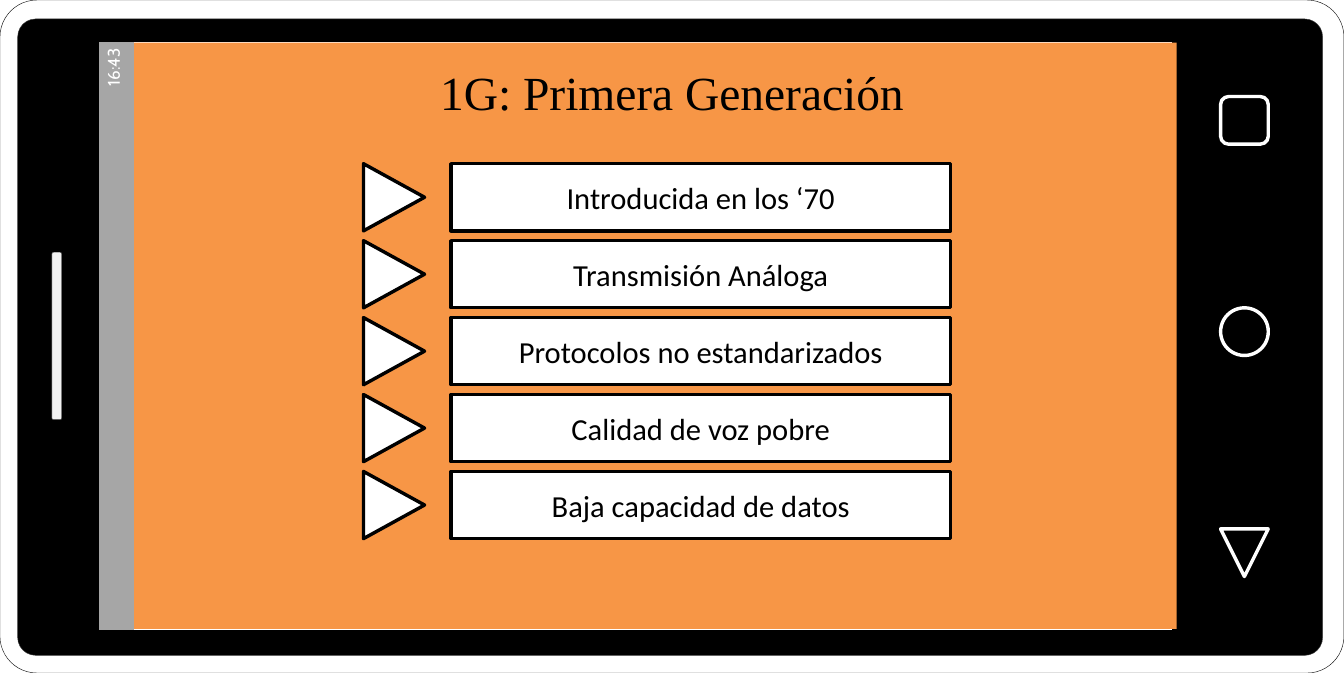
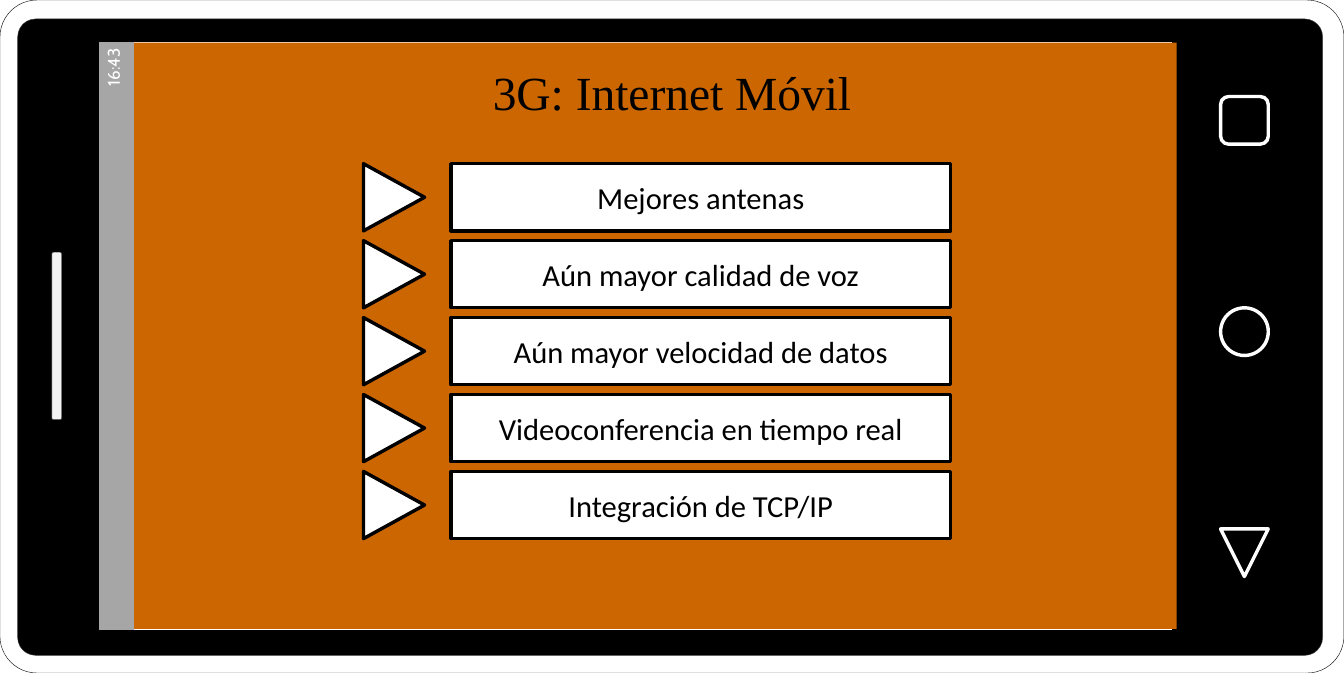
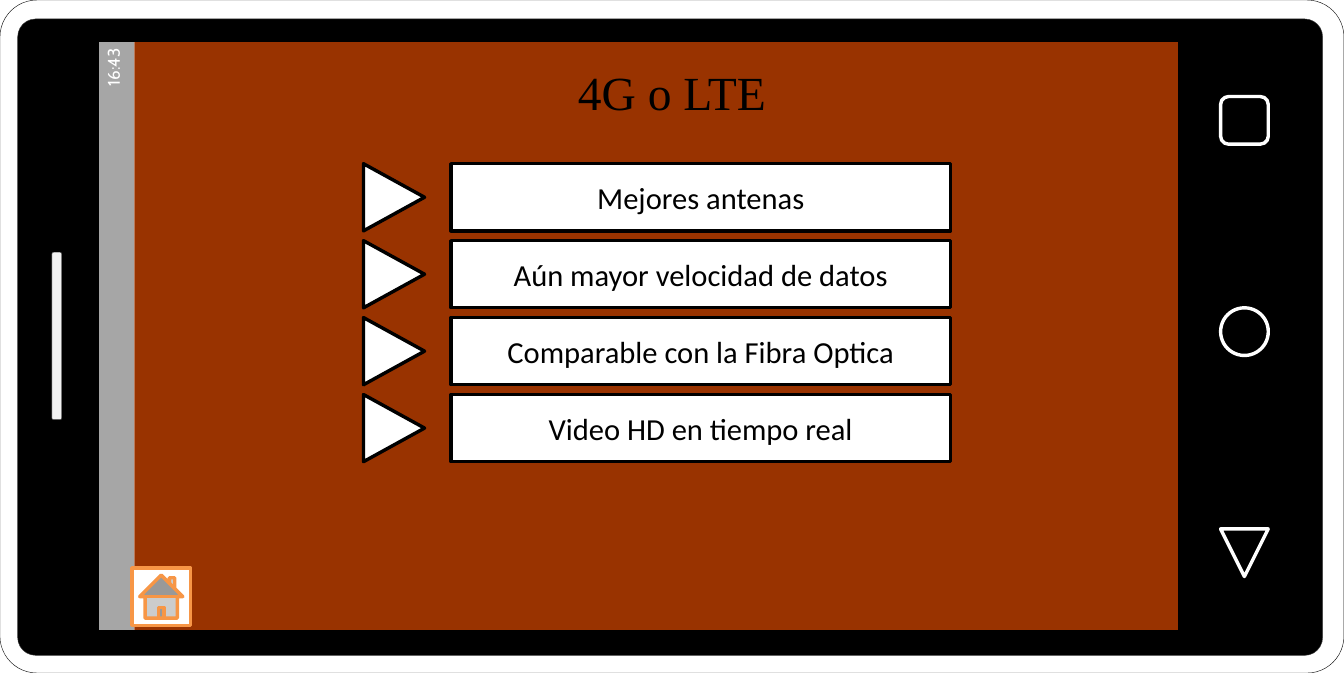
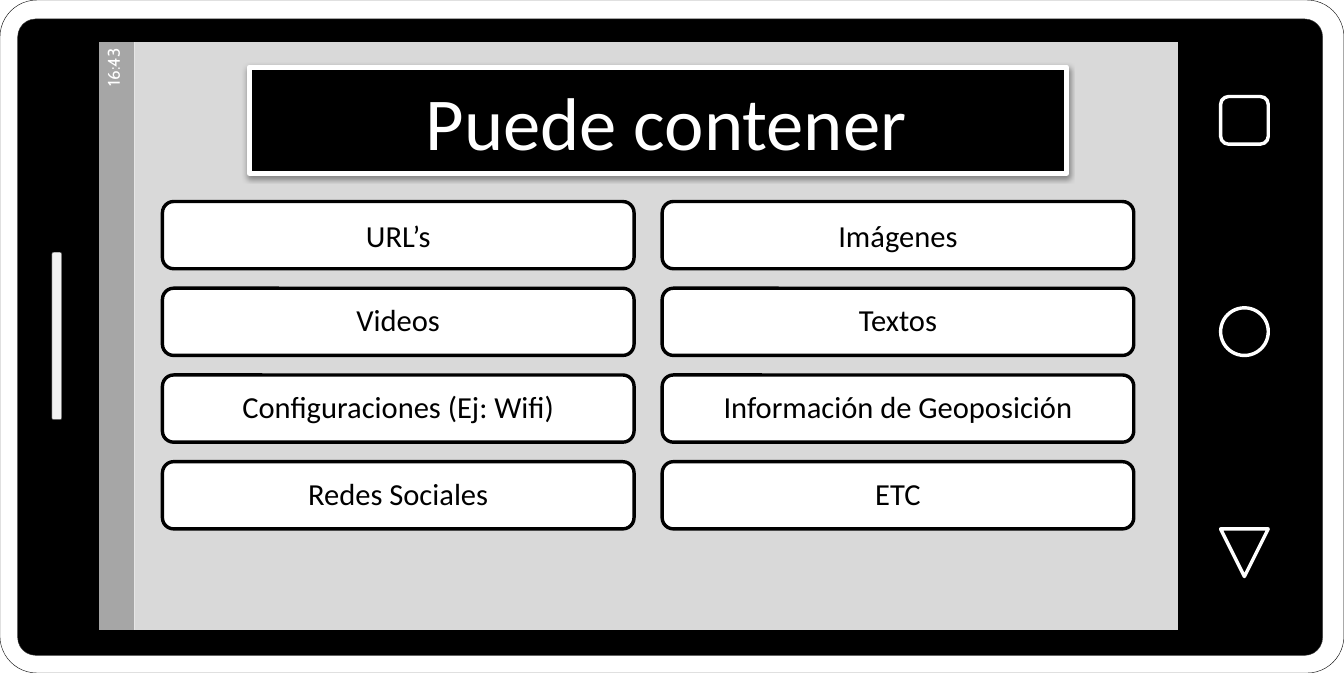
from lxml import etree
from pptx import Presentation
from pptx.dml.color import RGBColor
from pptx.enum import shapes, text
from pptx.oxml.ns import qn
from pptx.util import Pt

BLACK, WHITE, ORANGE = "000000", "FFFFFF", "F79646"
STRIPE = "A6A6A6"
SHAPE = shapes.MSO_SHAPE
ALIGN = text.PP_ALIGN

# Lists of features: title, screen colour, screen box, borders, home button, items
BORDER = (56.16, 22.32, 640.8, 351.36)
WIDE_BORDER = (44.64, 22.32, 652.32, 351.36)
SCREEN = (78.48, 25.2, 614.88, 345.6)
FULL_SCREEN = (79.2, 23.76, 617.76, 348.48)
GENERATIONS = [
    ("1G: Primera Generación", ORANGE, SCREEN, [BORDER], False,
     ["Introducida en los ‘70", "Transmisión Análoga", "Protocolos no estandarizados",
      "Calidad de voz pobre", "Baja capacidad de datos"]),
    ("3G: Internet Móvil", "CC6600", SCREEN, [BORDER], False,
     ["Mejores antenas", "Aún mayor calidad de voz", "Aún mayor velocidad de datos",
      "Videoconferencia en tiempo real", "Integración de TCP/IP"]),
    ("4G o LTE", "993300", FULL_SCREEN, [WIDE_BORDER, BORDER], True,
     ["Mejores antenas", "Aún mayor velocidad de datos",
      "Comparable con la Fibra Optica", "Video HD en tiempo real"]),
]
CONTENTS_TITLE = " Puede contener"
CONTENTS = [
    ("URL’s", "Imágenes"),
    ("Videos", "Textos"),
    ("Configuraciones (Ej: Wifi)", "Información de Geoposición"),
    ("Redes Sociales", "ETC"),
]
ROW_H = 39.6


def rgb(value):
    return RGBColor.from_string(value)


def sub(parent, tag, **attrs):
    return etree.SubElement(parent, qn(tag), {k: str(v) for k, v in attrs.items()})


def add_shape(s, kind, box, fill=None, line=None, width=2, turn=0, adj=None):
    """Add a shape that covers box as seen; quarter turns swap its sides."""
    x, y, w, h = box
    if turn % 180:
        x, y, w, h = x + (w - h) / 2, y + (h - w) / 2, h, w
    sp = s.shapes.add_shape(kind, Pt(x), Pt(y), Pt(w), Pt(h))
    sp.shadow.inherit = False
    sp.rotation = turn
    if adj is not None:
        sp.adjustments[0] = adj
    if fill:
        sp.fill.solid()
        sp.fill.fore_color.rgb = rgb(fill)
    else:
        sp.fill.background()
    if line:
        sp.line.color.rgb = rgb(line)
        sp.line.width = Pt(width)
    else:
        sp.line.fill.background()
    return sp


def write(sp, words, size=18, font="Calibri", color=BLACK, align=ALIGN.CENTER, spacing=None):
    tf = sp.text_frame
    tf.word_wrap = True
    p = tf.paragraphs[0]
    p.alignment = align
    if spacing:
        p.line_spacing = spacing
    r = p.add_run()
    r.text = words
    r.font.size = Pt(size)
    r.font.name = font
    r.font.color.rgb = rgb(color)
    return tf


def draw_phone(s):
    add_shape(s, SHAPE.ROUNDED_RECTANGLE, (0, 0, 792, 396.72), WHITE, "0D0D0D", 0.25, 270, 0.055)
    add_shape(s, SHAPE.ROUNDED_RECTANGLE, (10.44, 11.16, 768.96, 375.12),
              BLACK, "404040", 0.25, 270, 0.028)
    add_shape(s, SHAPE.RECTANGLE, (55.8, 24.12, 635.04, 347.76), WHITE, BLACK, 0.25, 270)
    add_shape(s, SHAPE.ROUNDED_RECTANGLE, (30.6, 148.68, 5.76, 98.64),
              "F2F2F2", "404040", 0.25, 270)

    status = add_shape(s, SHAPE.RECTANGLE, (55.8, 24.84, 21.6, 347.76), BLACK, turn=270)
    sub(status.element.spPr.find(".//" + qn("a:srgbClr")), "a:alpha", val=35000)
    tf = write(status, "16:43", 10, "Cabin", WHITE, ALIGN.RIGHT)
    tf.vertical_anchor = text.MSO_ANCHOR.MIDDLE
    tf.margin_left = tf.margin_right = tf.margin_top = tf.margin_bottom = Pt(3.6)

    for kind, y, turn in [(SHAPE.ISOSCELES_TRIANGLE, 311.76, 180), (SHAPE.OVAL, 181.44, 0),
                          (SHAPE.ROUNDED_RECTANGLE, 56.88, 0)]:
        add_shape(s, kind, (719.28, y, 28.08, 28.08), line=WHITE, turn=turn)


def move_to_layout(s, layout):
    """Make the shapes of a slide the only shapes of its layout."""
    for placeholder in list(layout.placeholders):
        layout.shapes.element.remove(placeholder.element)
    for sp in list(s.shapes):
        layout.shapes.element.append(sp.element)


def draw_screen(s, color, box, borders):
    add_shape(s, SHAPE.RECTANGLE, box, color)
    divider = s.shapes.add_connector(shapes.MSO_CONNECTOR.STRAIGHT,
                                     Pt(77.76), Pt(22.32), Pt(77.76), Pt(374.4))
    divider.line.color.rgb = rgb(STRIPE)
    divider.line.width = Pt(2)
    sub(divider.element.spPr, "a:effectLst")
    for border in borders:
        add_shape(s, SHAPE.RECTANGLE, border, line=BLACK, width=5)


def draw_generation(s, title, items, home):
    for i, item in enumerate(items):
        y = 96.48 + 45.36 * i
        add_shape(s, SHAPE.ISOSCELES_TRIANGLE, (214.2, y, 36, ROW_H), WHITE, BLACK, turn=90)
        write(add_shape(s, SHAPE.RECTANGLE, (265.68, y, 294.48, ROW_H), WHITE, BLACK), item)
    heading = s.shapes.add_textbox(Pt(214.56), Pt(33.84), Pt(362.88), Pt(41.04))
    tf = write(heading, title, 28, "Times New Roman")
    tf.auto_size = text.MSO_AUTO_SIZE.SHAPE_TO_FIT_TEXT
    if home:
        add_shape(s, SHAPE.ACTION_BUTTON_HOME, (77.76, 334.8, 34.56, 33.84), WHITE, ORANGE)


def draw_contents(s):
    banner = add_shape(s, SHAPE.RECTANGLE, (146.88, 39.6, 481.68, 62.64), BLACK, WHITE, 3)
    write(banner, CONTENTS_TITLE, 44, color=WHITE)
    shadow = sub(banner.element.spPr.find(qn("a:effectLst")), "a:outerShdw",
                 blurRad=Pt(3.1), dist=Pt(1.6), dir=90 * 60000, rotWithShape=0)
    sub(sub(shadow, "a:srgbClr", val=BLACK), "a:alpha", val=38000)

    for i, row in enumerate(CONTENTS):
        for j, item in enumerate(row):
            box = (95.76 + 294.48 * j, 118.8 + 51.12 * i, 277.92, ROW_H)
            cell = add_shape(s, SHAPE.ROUNDED_RECTANGLE, box, WHITE, BLACK)
            write(cell, item, spacing=0.9 if i else None)


def main():
    prs = Presentation()
    prs.slide_width, prs.slide_height = Pt(792), Pt(396.72)
    blank = prs.slide_layouts[6]

    for n, (title, color, box, borders, home, items) in enumerate(GENERATIONS):
        s = prs.slides.add_slide(blank)
        if n == 0:
            draw_phone(s)
            move_to_layout(s, blank)
        draw_screen(s, color, box, borders)
        draw_generation(s, title, items, home)

    s = prs.slides.add_slide(blank)
    draw_screen(s, "D9D9D9", FULL_SCREEN, [BORDER])
    draw_contents(s)
    prs.save("out.pptx")


if __name__ == "__main__":
    main()
